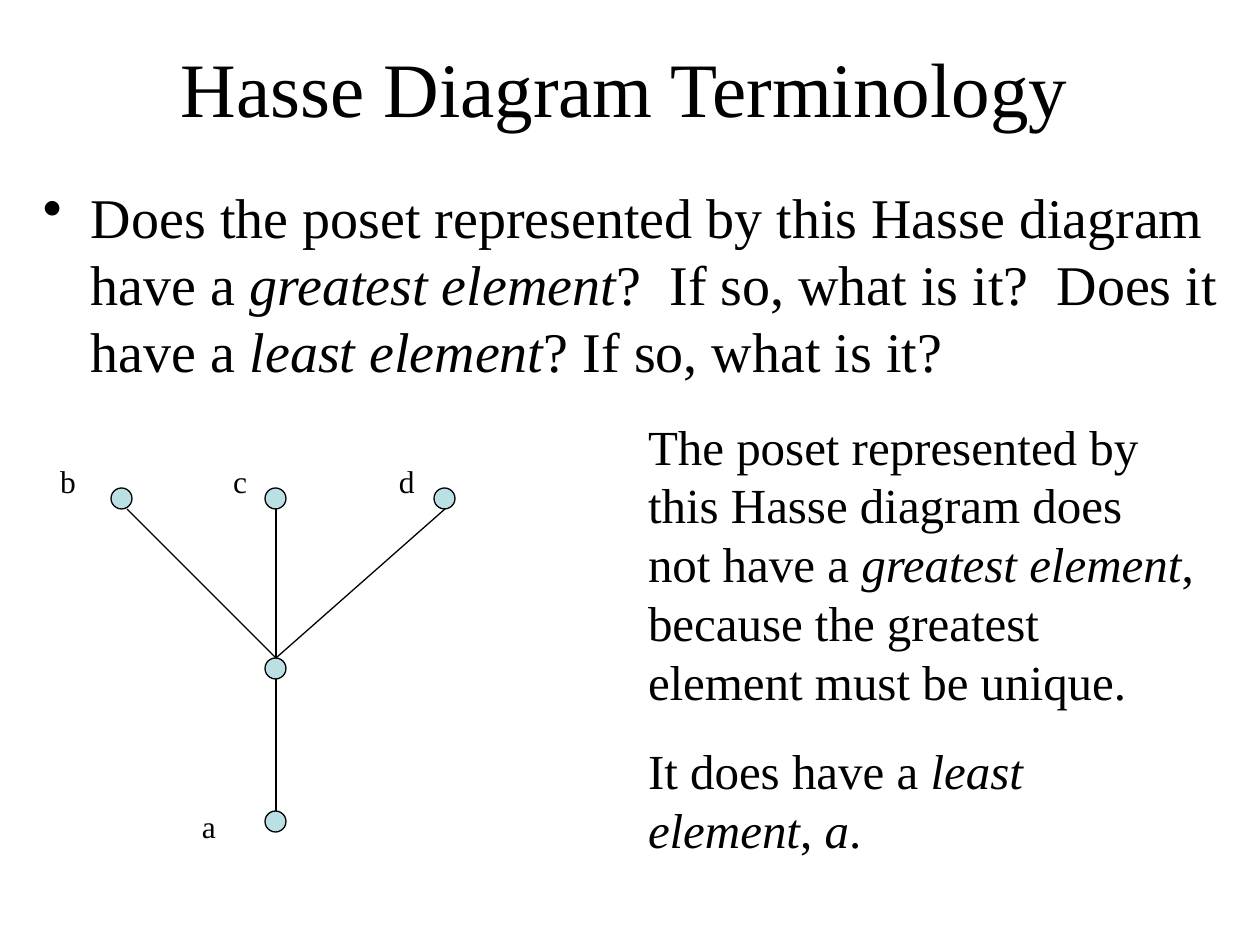
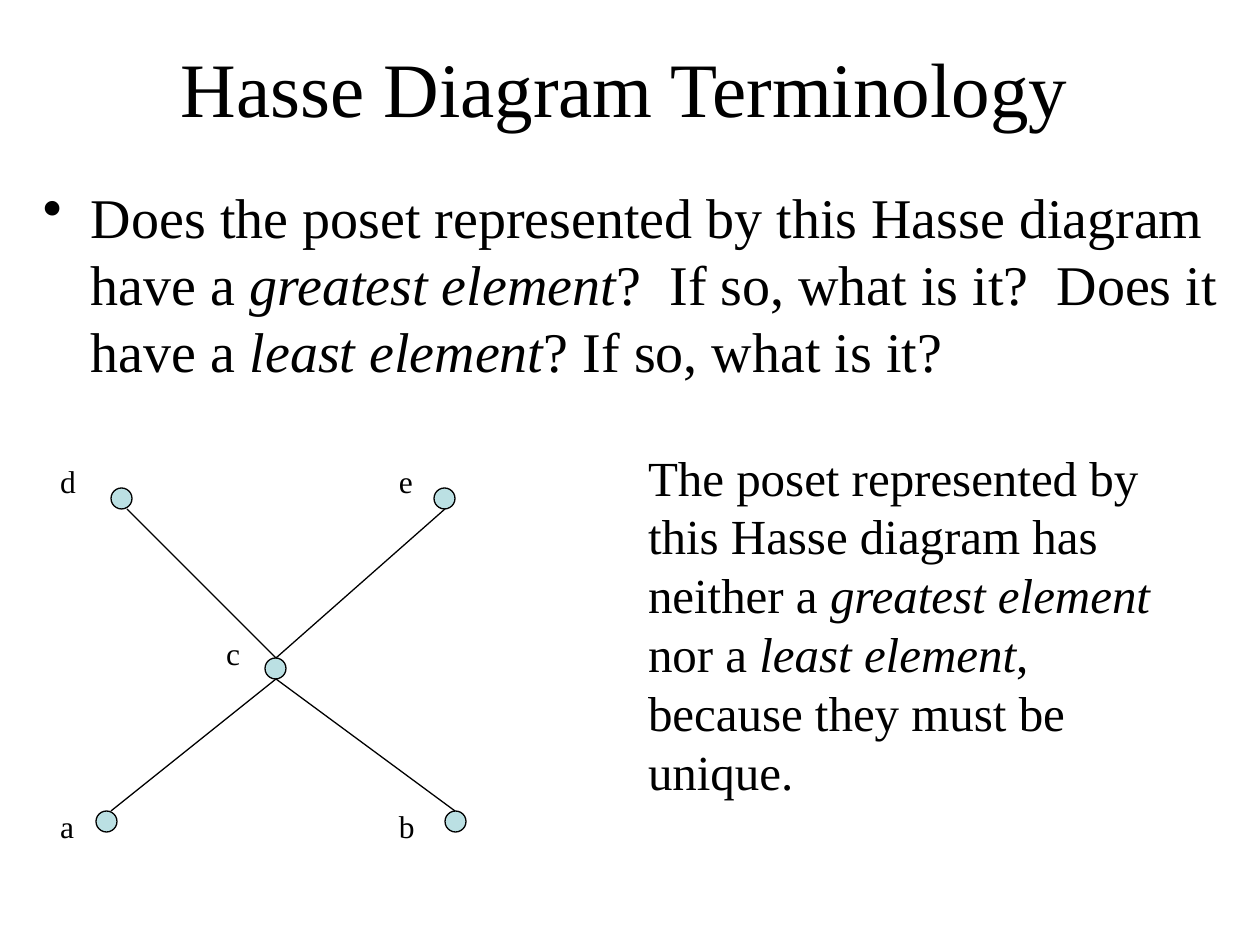
from dataclasses import dataclass

from lxml.etree import SubElement
from pptx import Presentation
from pptx.dml.color import RGBColor
from pptx.enum.shapes import MSO_CONNECTOR as CONN, MSO_SHAPE as SHAPE
from pptx.enum.text import MSO_ANCHOR as ANCHOR, PP_ALIGN as ALIGN
from pptx.oxml.ns import qn
from pptx.util import Pt

TITLE = "Hasse Diagram Terminology"
QUESTION = (
    "Does the poset represented by this Hasse diagram have a *greatest element*?"
    "  If so, what is it?  Does it have a *least element*? If so, what is it?"
)

# Italic words stand between asterisks.
SLIDES = [
    {
        "nodes": ["top left", "top middle", "top right", "hub", "bottom middle"],
        "labels": [("b", 60, 0), ("c", 233, 0), ("d", 399, 0), ("a", 202, 6)],
        "answer_top": 410,
        "answer": [
            "The poset represented by this Hasse diagram does not have a "
            "*greatest element*, because the greatest element must be unique.",
            "It does have a *least element*, *a*.",
        ],
    },
    {
        "nodes": ["top left", "top right", "hub", "bottom left", "bottom right"],
        "labels": [("d", 60, 0), ("e", 399, 0), ("c", 226, 3),
                   ("a", 60, 6), ("b", 399, 6)],
        "answer_top": 441,
        "answer": [
            "The poset represented by this Hasse diagram has neither a "
            "*greatest element *nor a *least element*, because they must be unique.",
        ],
    },
]

TOP, MIDDLE, BOTTOM = 488, 658, 811
NODE = 21
# Node left, node top, x where its edge meets it
NODES = {
    "top left": (111, TOP, 127),
    "top middle": (265, TOP, 276),
    "top right": (434, TOP, 445),
    "hub": (265, MIDDLE, 276),
    "bottom left": (96, BOTTOM, 111),
    "bottom middle": (265, BOTTOM, 276),
    "bottom right": (445, BOTTOM, 455),
}
LABEL_TOP, LABEL_ROW = 462, 57.5


@dataclass(frozen=True)
class Theme:
    font: str = "Times New Roman"
    ink: RGBColor = RGBColor(0, 0, 0)
    node: RGBColor = RGBColor(0xBB, 0xE0, 0xE3)
    title: int = 44
    body: int = 32
    answer: int = 28
    label: int = 18
    line: float = 0.75


THEME = Theme()


def px(n):
    return round(n * 914400 / 126)


def add_text(s, box, paras, size, inset=(13, 6), gap=0, bullet=0,
             align=ALIGN.LEFT, anchor=ANCHOR.TOP):
    tf = s.shapes.add_textbox(*map(px, box)).text_frame
    side, edge = map(px, inset)
    frame = {"word_wrap": True, "vertical_anchor": anchor, "margin_left": side,
             "margin_right": side, "margin_top": edge, "margin_bottom": edge}
    for name, value in frame.items():
        setattr(tf, name, value)
    for i, text in enumerate(paras):
        p = tf.add_paragraph() if i else tf.paragraphs[0]
        p.alignment = align
        if i:
            p.space_before = Pt(gap)
        if bullet:
            pPr = p._p.get_or_add_pPr()
            pPr.set("marL", str(px(bullet)))
            pPr.set("indent", str(-px(bullet)))
            SubElement(pPr, qn("a:buChar"), char="•")
        for j, part in enumerate(text.split("*")):
            if not part:
                continue
            r = p.add_run()
            r.text = part
            style = {"name": THEME.font, "size": Pt(size), "italic": j % 2 == 1}
            for name, value in style.items():
                setattr(r.font, name, value)
            r.font.color.rgb = THEME.ink


def set_line(sp):
    sp.line.color.rgb = THEME.ink
    sp.line.width = Pt(THEME.line)


def add_node(s, name):
    x, y, _ = NODES[name]
    sp = s.shapes.add_shape(SHAPE.OVAL, px(x), px(y), px(NODE), px(NODE))
    sp.shadow.inherit = False
    sp.fill.solid()
    sp.fill.fore_color.rgb = THEME.node
    set_line(sp)


def add_edge(s, name):
    _, y, x = NODES[name]
    _, hub_y, hub_x = NODES["hub"]
    upper, lower = sorted([(y, x), (hub_y, hub_x)])
    ends = (upper[1], upper[0] + NODE, lower[1], lower[0])
    sp = s.shapes.add_connector(CONN.STRAIGHT, *map(px, ends))
    set_line(sp)
    SubElement(sp._element.spPr, qn("a:effectLst"))


def add_slide(prs, content):
    s = prs.slides.add_slide(prs.slide_layouts[6])
    add_text(s, (21, 23, 1207, 127), [TITLE], THEME.title,
             align=ALIGN.CENTER, anchor=ANCHOR.MIDDLE)
    add_text(s, (43, 176, 1186, 230), [QUESTION], THEME.body,
             inset=(0, 6), bullet=48)
    for name in content["nodes"]:
        add_node(s, name)
    for name in content["nodes"]:
        if name != "hub":
            add_edge(s, name)
    for text, x, row in content["labels"]:
        add_text(s, (x, LABEL_TOP + row * LABEL_ROW, 30, 38), [text],
                 THEME.label, inset=(0, 0))
    add_text(s, (635, content["answer_top"], 572, 450), content["answer"],
             THEME.answer, gap=17.5)


def main():
    prs = Presentation()
    prs.slide_width, prs.slide_height = px(1260), px(945)
    for content in SLIDES:
        add_slide(prs, content)
    prs.save("out.pptx")


if __name__ == "__main__":
    main()
